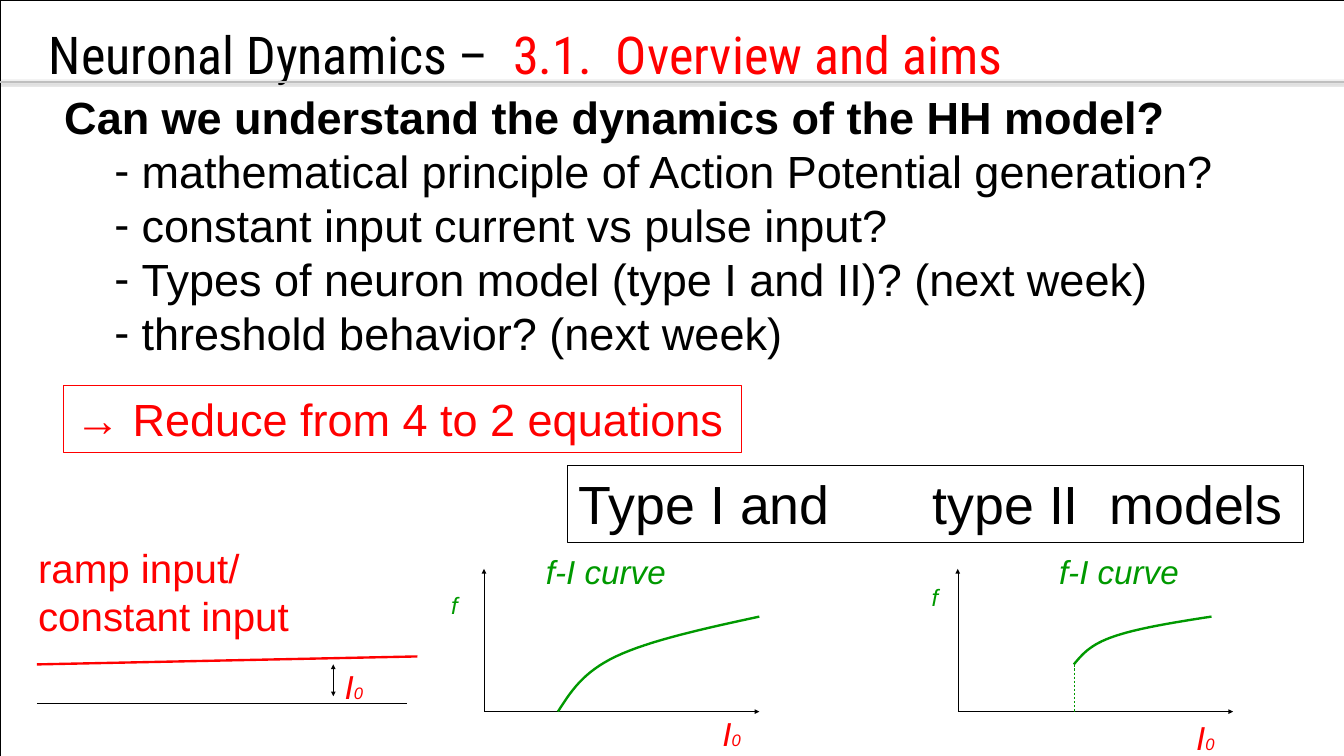
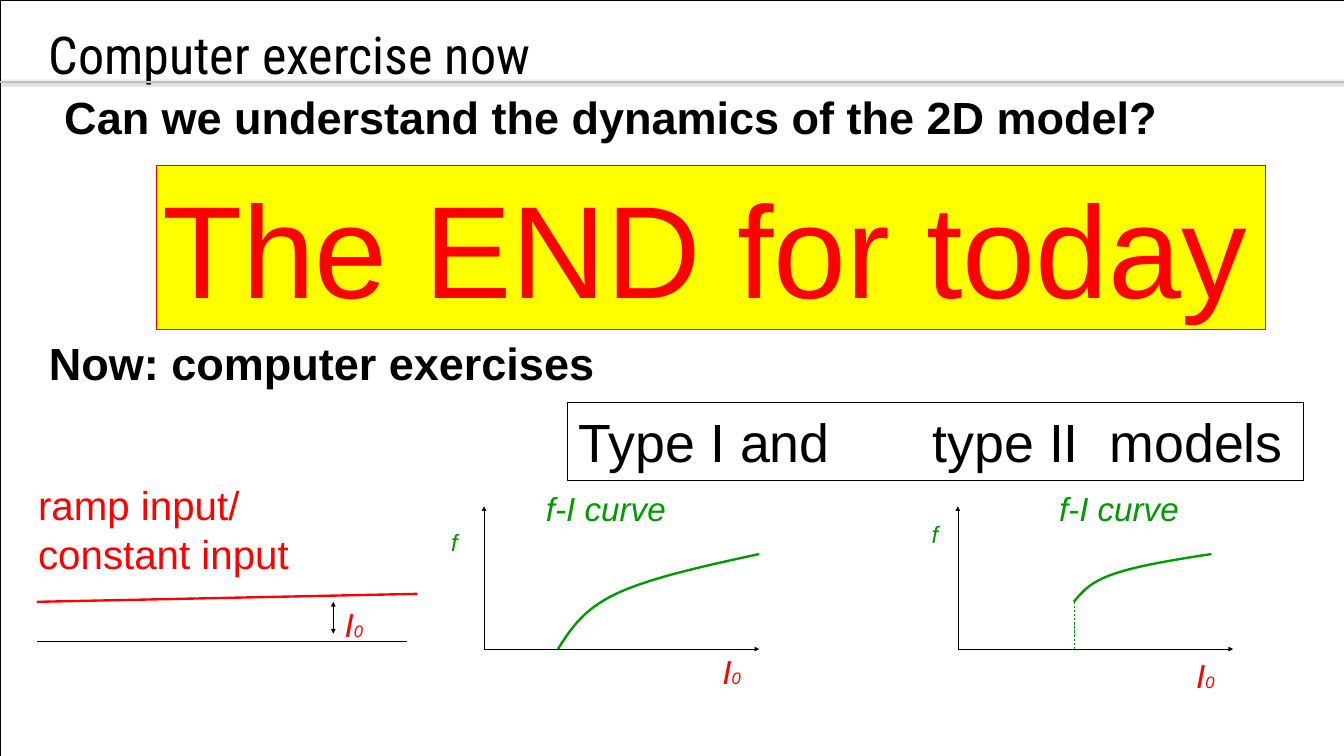
"""Build two neuronal dynamics slides: overview and closing exercise."""
from lxml import etree
from pptx import Presentation
from pptx.dml.color import RGBColor
from pptx.enum.dml import MSO_LINE
from pptx.enum.shapes import MSO_CONNECTOR, MSO_SHAPE
from pptx.enum.text import MSO_ANCHOR, PP_ALIGN
from pptx.oxml import parse_xml
from pptx.oxml.ns import nsdecls, qn
from pptx.util import Inches, Pt

BLACK, RED, GREEN, GRAY, YELLOW = "000000", "FF0000", "009900", "BFBFBF", "FFFF00"
BODY_FONT, TITLE_FONT = "Arial", "Roboto Condensed"
WIDTH, HEIGHT = 23.63, 13.29
color_of = RGBColor.from_string


def write_text(shape, lines, size, color, bold=False, italic=False, tabs=(), inset=0.21):
    """Fill a shape with left-aligned lines in one style."""
    frame = shape.text_frame
    frame.text = "\n".join(lines)
    frame.word_wrap = True
    frame.vertical_anchor = MSO_ANCHOR.TOP
    frame.margin_left = frame.margin_right = Inches(inset)
    frame.margin_top = frame.margin_bottom = Inches(inset / 2)
    for paragraph in frame.paragraphs:
        paragraph.alignment = PP_ALIGN.LEFT
        if tabs:
            tab_list = etree.SubElement(paragraph._p.get_or_add_pPr(), qn("a:tabLst"))
            for position in tabs:
                etree.SubElement(tab_list, qn("a:tab"), pos=str(Inches(position)), algn="l")
        for run in paragraph.runs:
            run.font.name = BODY_FONT
            run.font.size = Pt(size)
            run.font.bold = bold
            run.font.italic = italic
            run.font.color.rgb = color_of(color)
    return frame


def draw_line(slide, start, end, color=BLACK, width=0.75, arrows=()):
    """Draw a straight line with optional arrowheads and no shadow."""
    line = slide.shapes.add_connector(
        MSO_CONNECTOR.STRAIGHT, *[Inches(value) for value in (*start, *end)])
    line.line.color.rgb = color_of(color)
    line.line.width = Pt(width)
    for arrow in arrows:
        etree.SubElement(line.line._get_or_add_ln(), qn(arrow), type="triangle")
    etree.SubElement(line._element.spPr, qn("a:effectLst"))
    return line


presentation = Presentation()
presentation.slide_width, presentation.slide_height = Inches(WIDTH), Inches(HEIGHT)

TITLES = [
    [("Neuronal Dynamics –\t", BLACK), ("3.1.\tOverview and aims", RED)],
    [("Computer exercise now", BLACK)],
]
QUESTIONS = [
    ["Can we understand the dynamics of the HH model?",
     "mathematical principle of Action Potential generation?",
     "constant input current vs pulse input?",
     "Types of neuron model (type I and II)? (next week)",
     "threshold behavior? (next week)"],
    ["Can we understand the dynamics of the 2D model?"],
]
BOXES = [
    [("→ Reduce from 4 to 2 equations", 1.11, 6.78, 11.93, 1.17, 57, RED, RED, None, 0.21, ())],
    [("The END for today", 2.75, 2.9, 19.49, 2.89, 166, RED, RED, YELLOW, 0.1, ())],
]
DIAGRAM_BASES = [12.51, 11.41]
CURVES = [
    [[(9.81, 0), (10.03, 0.34), (10.24, 0.69), (10.83, 0.97)],
     [(10.83, 0.97), (11.42, 1.25), (12.38, 1.46), (13.35, 1.67)]],
    [[(18.88, 0.83), (19.03, 1.01), (19.17, 1.18), (19.58, 1.32)],
     [(19.58, 1.32), (19.98, 1.46), (20.64, 1.57), (21.3, 1.67)]],
]
STEPS = 16

for title_runs, questions, boxes, base in zip(TITLES, QUESTIONS, BOXES, DIAGRAM_BASES):
    slide = presentation.slides.add_slide(presentation.slide_layouts[5])
    shapes = slide.shapes

    title = shapes.title
    title.left, title.top, title.width, title.height = [
        Inches(value) for value in (0.76, 0.35, 22.81, 1.61)]
    frame = write_text(title, [""], 66, BLACK, tabs=(8.16, 9.97), inset=0.1)
    for text, color in title_runs:
        run = frame.paragraphs[0].add_run()
        run.text = text
        run.font.name = TITLE_FONT
        run.font.size = Pt(66)
        run.font.color.rgb = color_of(color)

    border = shapes.add_shape(MSO_SHAPE.RECTANGLE, 0, 0, Inches(WIDTH), Inches(HEIGHT))
    border.shadow.inherit = False
    border.fill.background()
    border.line.color.rgb = color_of(BLACK)
    border.line.width = Pt(0.75)

    rule = draw_line(slide, (0, 1.44), (WIDTH, 1.44), GRAY, 2)
    rule._element.spPr.find(qn("a:effectLst")).append(parse_xml(
        f'<a:outerShdw {nsdecls("a")} blurRad="39370" dist="20320" dir="5400000">'
        f'<a:srgbClr val="{BLACK}"><a:alpha val="38000"/></a:srgbClr></a:outerShdw>'))

    question_box = shapes.add_textbox(
        Inches(0.92), Inches(1.47), Inches(22), Inches(0.22 + 0.96 * len(questions)))
    frame = write_text(question_box, questions, 57, BLACK)
    frame.paragraphs[0].runs[0].font.bold = True
    for paragraph in frame.paragraphs[1:]:
        properties = paragraph._p.get_or_add_pPr()
        properties.set("marL", str(Inches(1.36)))
        properties.set("indent", str(Inches(-0.48)))
        etree.SubElement(properties, qn("a:buFont"), typeface=BODY_FONT)
        etree.SubElement(properties, qn("a:buChar"), char="-")

    models = ("Type I and\ttype II\tmodels", 9.97, base - 4.33, 12.94, 1.36,
              68, BLACK, BLACK, None, 0.21, (6.22, 9.33))
    for text, left, top, width, height, size, color, outline, fill, inset, tabs in [*boxes, models]:
        box = shapes.add_shape(MSO_SHAPE.RECTANGLE, Inches(left), Inches(top),
                               Inches(width), Inches(height))
        box.shadow.inherit = False
        box.line.color.rgb = color_of(outline)
        box.line.width = Pt(0.75)
        if fill:
            box.fill.solid()
            box.fill.fore_color.rgb = color_of(fill)
        else:
            box.fill.background()
        write_text(box, [text], size, color, tabs=tabs, inset=inset)

    ramp_label = shapes.add_textbox(Inches(0.46), Inches(base - 3.07), Inches(5.2), Inches(1.93))
    write_text(ramp_label, ["ramp input/", "constant input"], 51, RED)
    draw_line(slide, (0.65, base - 0.14), (7.16, base - 0.14))
    draw_line(slide, (0.65, base - 0.83), (7.34, base - 0.97), RED, 3)
    draw_line(slide, (5.86, base - 0.83), (5.86, base - 0.27), arrows=("a:headEnd", "a:tailEnd"))

    for left, rise in [(5.85, 0.9), (12.49, 0.07), (20.82, 0)]:
        current_label = shapes.add_textbox(
            Inches(left), Inches(base - rise), Inches(1), Inches(0.92))
        frame = write_text(current_label, ["I"], 42, RED, italic=True)
        index = frame.paragraphs[0].add_run()
        index.text = "0"
        index.font.name = BODY_FONT
        index.font.size = Pt(21)
        index.font.italic = True
        index.font.color.rgb = color_of(RED)

    for origin in (8.51, 16.84):
        for end in [(origin, base - 2.51), (origin + 4.84, base)]:
            draw_line(slide, (origin, base), end, arrows=("a:tailEnd",))

    for text, left, rise, width, height, size in [
            ("f", 7.72, 2.23, 0.7, 0.72, 30), ("f", 16.17, 2.37, 0.7, 0.72, 30),
            ("f-I curve", 9.39, 2.93, 2.8, 0.92, 42), ("f-I curve", 18.41, 2.93, 2.8, 0.92, 42)]:
        label = shapes.add_textbox(
            Inches(left), Inches(base - rise), Inches(width), Inches(height))
        write_text(label, [text], size, GREEN, italic=True)

    threshold = draw_line(slide, (18.89, base - 0.83), (18.89, base), GREEN)
    threshold.line.dash_style = MSO_LINE.DASH

    for segments in CURVES:
        points = []
        for controls in segments:
            for step in range(STEPS + 1):
                t = step / STEPS
                weights = ((1 - t) ** 3, 3 * t * (1 - t) ** 2, 3 * t ** 2 * (1 - t), t ** 3)
                x = sum(weight * point[0] for weight, point in zip(weights, controls))
                y = base - sum(weight * point[1] for weight, point in zip(weights, controls))
                points.append((Inches(x), Inches(y)))
        builder = shapes.build_freeform(*points[0])
        builder.add_line_segments(points[1:], close=False)
        curve = builder.convert_to_shape()
        curve.shadow.inherit = False
        curve.fill.background()
        curve.line.color.rgb = color_of(GREEN)
        curve.line.width = Pt(3)

    if base == DIAGRAM_BASES[1]:
        exercise_box = shapes.add_textbox(Inches(0.65), Inches(5.79), Inches(11), Inches(1.17))
        write_text(exercise_box, ["Now: computer exercises"], 57, BLACK, bold=True)

presentation.save("out.pptx")
